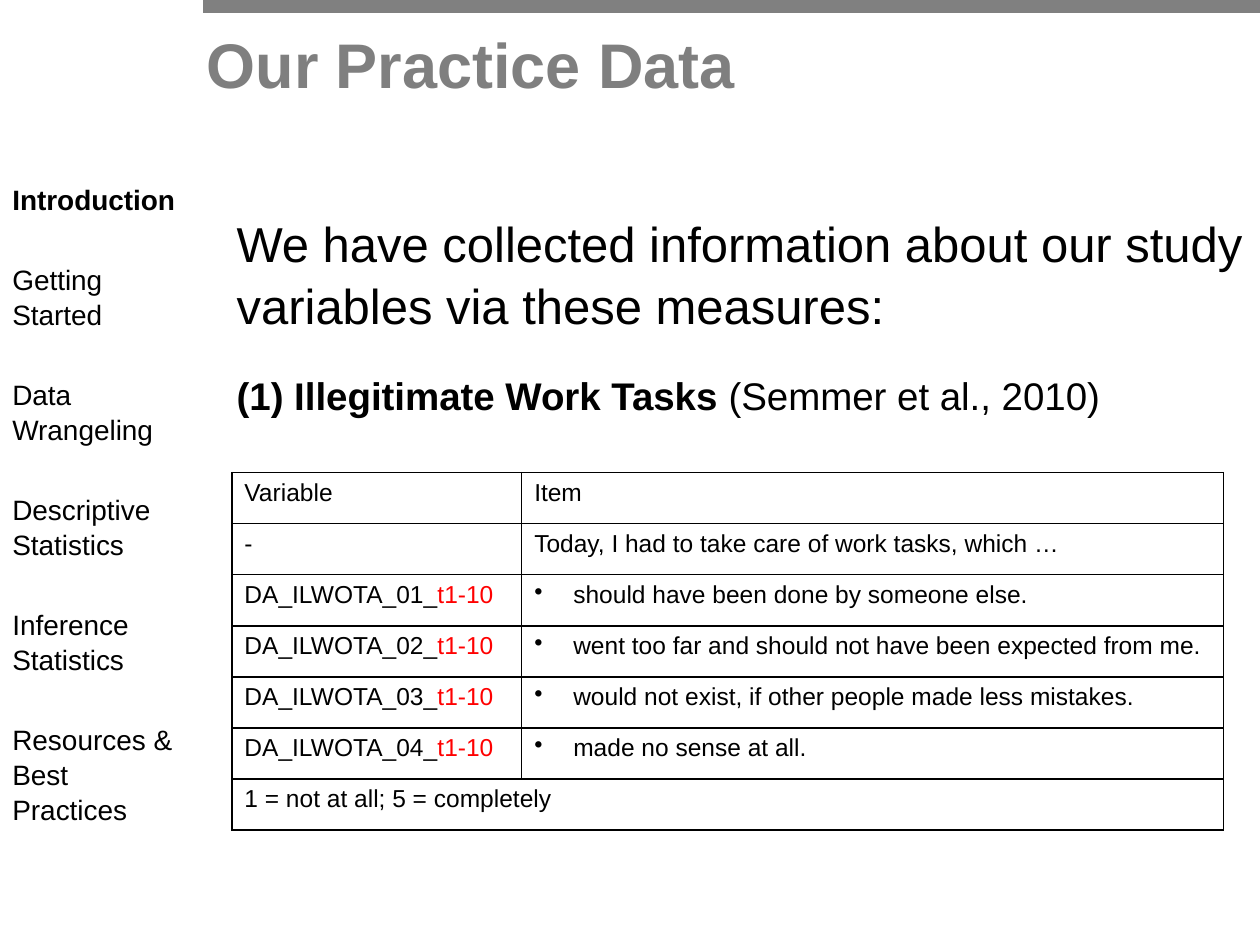
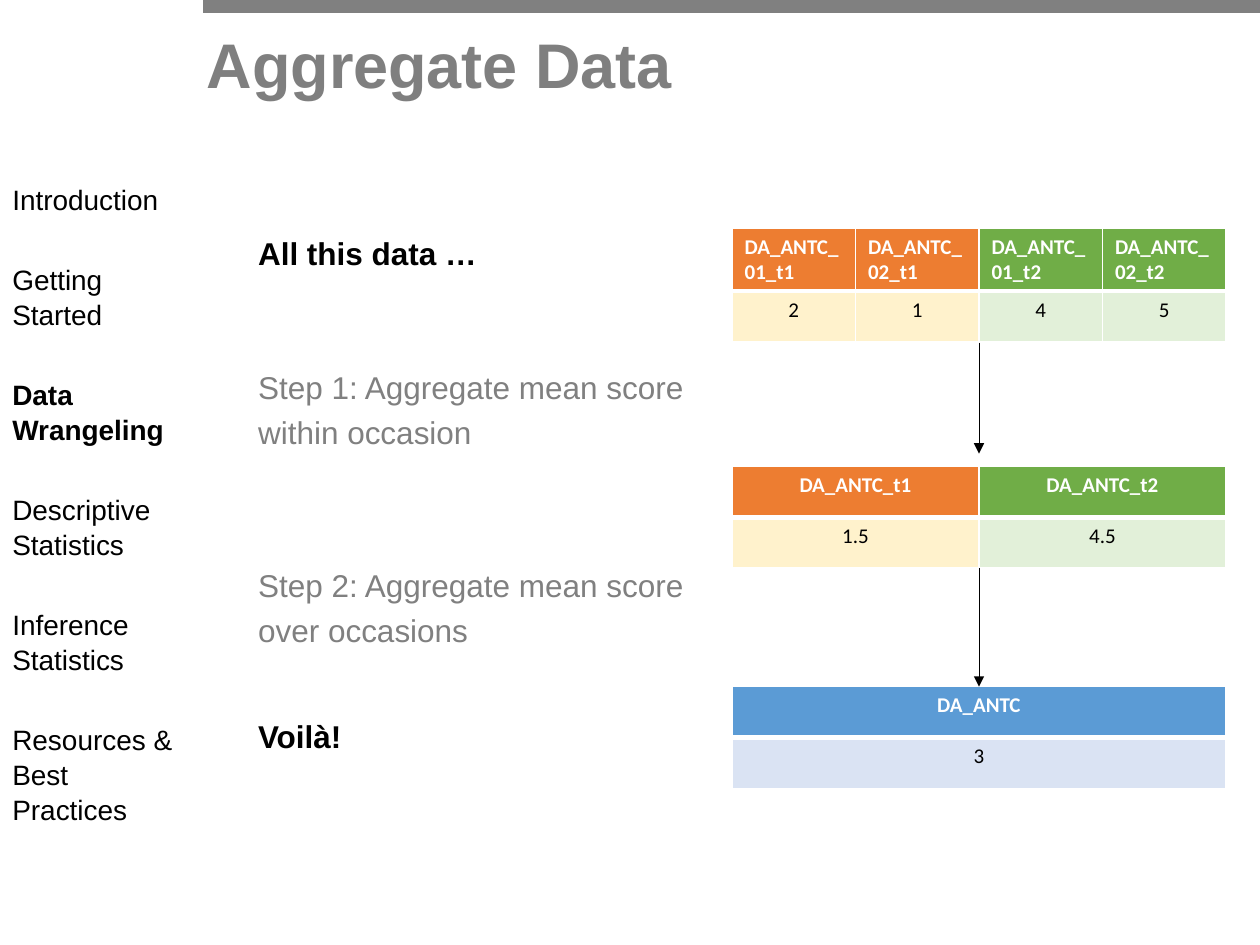
from dataclasses import dataclass
from typing import Optional

from lxml import etree
from pptx import Presentation
from pptx import util as u
from pptx.dml.color import RGBColor
from pptx.enum import shapes, text
from pptx.oxml.ns import qn


@dataclass(frozen=True)
class Theme:
    black: str = "000000"
    white: str = "FFFFFF"
    band: str = "808080"
    title: str = "7F7F7F"
    red: str = "FF0000"
    orange: str = "ED7D31"
    light_orange: str = "FFF2CC"
    green: str = "70AD47"
    light_green: str = "E2F0D9"
    blue: str = "5B9BD5"
    light_blue: str = "DAE3F3"
    font: str = "Arial"
    data_font: str = "Calibri"
    title_size: float = 36
    lead_size: float = 28
    measure_size: float = 22
    step_size: float = 18
    section_size: float = 16
    item_size: float = 14
    data_size: float = 12
    line_spacing: float = 1.04
    thin: float = 0.96
    thick: float = 3


THEME = Theme()
SECTIONS = (
    "Introduction",
    "Getting Started",
    "Data Wrangeling",
    "Descriptive Statistics",
    "Inference Statistics",
    "Resources & Best Practices",
)
SIDES = ("L", "R", "T", "B")


@dataclass(frozen=True)
class Span:
    text: str
    size: float
    color: str = THEME.black
    bold: bool = False
    font: str = THEME.font


@dataclass(frozen=True)
class Line:
    spans: tuple[Span, ...]
    space_before: float = 0
    centered: bool = False
    bullet: bool = False
    spacing: Optional[float] = THEME.line_spacing


@dataclass(frozen=True)
class Box:
    left: float
    top: float
    width: float
    height: float

    def lengths(self) -> tuple:
        return tuple(u.Inches(v) for v in (self.left, self.top, self.width, self.height))


@dataclass(frozen=True)
class Column:
    header: str
    value: str
    dark: str
    light: str


@dataclass(frozen=True)
class ScoreTable:
    top: float
    columns: tuple[Column, ...]
    header_centered: bool = True


def add_bullet(paragraph) -> None:
    properties = paragraph._p.get_or_add_pPr()
    properties.set("marL", str(u.Inches(0.31)))
    properties.set("indent", str(u.Inches(-0.31)))
    etree.SubElement(properties, qn("a:buChar"), char="•")


def write_lines(text_frame, lines: tuple[Line, ...]) -> None:
    for index, line in enumerate(lines):
        paragraph = text_frame.add_paragraph() if index else text_frame.paragraphs[0]
        if line.bullet:
            add_bullet(paragraph)
        paragraph.alignment = text.PP_ALIGN.CENTER if line.centered else text.PP_ALIGN.LEFT
        paragraph.line_spacing = line.spacing
        paragraph.space_before = u.Pt(line.space_before)
        for span in line.spans:
            run = paragraph.add_run()
            run.text = span.text
            run.font.name = span.font
            run.font.size = u.Pt(span.size)
            run.font.bold = span.bold
            run.font.color.rgb = RGBColor.from_string(span.color)


def add_text(slide, box: Box, lines: tuple[Line, ...]) -> None:
    text_frame = slide.shapes.add_textbox(*box.lengths()).text_frame
    text_frame.word_wrap = True
    write_lines(text_frame, lines)


def add_line(slide, start: tuple[float, float], end: tuple[float, float],
             color: str, width: float, arrow: bool = False) -> None:
    points = (u.Inches(v) for v in (*start, *end))
    connector = slide.shapes.add_connector(shapes.MSO_CONNECTOR.STRAIGHT, *points)
    connector.line.color.rgb = RGBColor.from_string(color)
    connector.line.width = u.Pt(width)
    if arrow:
        etree.SubElement(connector.line._get_or_add_ln(), qn("a:tailEnd"), type="triangle")
    etree.SubElement(connector._element.spPr, qn("a:effectLst"))


def set_border(cell, side: str, color: str, width: float) -> None:
    line = etree.Element(qn(f"a:ln{side}"), w=str(u.Pt(width)))
    fill = etree.SubElement(line, qn("a:solidFill"))
    etree.SubElement(fill, qn("a:srgbClr"), val=color)
    cell._tc.get_or_add_tcPr().insert(SIDES.index(side), line)


def style_cell(cell, border: str, fill: Optional[str] = None, thick_side: str = "") -> None:
    if fill:
        cell.fill.solid()
        cell.fill.fore_color.rgb = RGBColor.from_string(fill)
    else:
        cell.fill.background()
    for side in SIDES:
        set_border(cell, side, border, THEME.thick if side == thick_side else THEME.thin)


def add_plain_table(slide, box: Box, rows: int, widths: tuple[float, ...]):
    table = slide.shapes.add_table(rows, len(widths), *box.lengths()).table
    table.first_row = False
    table.horz_banding = False
    for column, width in zip(table.columns, widths):
        column.width = u.Inches(width)
    return table


def start_slide(presentation, title: str, active_section: str):
    slide = presentation.slides.add_slide(presentation.slide_layouts[5])
    add_line(slide, (1.61, 0.05), (10, 0.05), THEME.band, 8)
    heading = slide.shapes.title
    heading.left, heading.top, heading.width, heading.height = Box(1.54, 0.13, 8.46, 1.02).lengths()
    heading.text_frame.vertical_anchor = text.MSO_ANCHOR.TOP
    write_lines(heading.text_frame,
                (Line((Span(title, THEME.title_size, THEME.title, True),)),))
    add_text(slide, Box(0, 1.39, 1.53, 5.59), tuple(
        Line((Span(section, THEME.section_size, bold=section == active_section),),
             25.8 if index else 0)
        for index, section in enumerate(SECTIONS)))
    return slide


def add_item_table(slide) -> None:
    items = (
        "should have been done by someone else.",
        "went too far and should not have been expected from me.",
        "would not exist, if other people made less mistakes.",
        "made no sense at all.",
    )
    size = THEME.item_size

    def plain(value: str, bullet: bool = False) -> Line:
        return Line((Span(value, size),), bullet=bullet, spacing=None)

    rows = [(plain("Variable"), plain("Item")),
            (plain("-"), plain("Today, I had to take care of work tasks, which …"))]
    for number, item in enumerate(items, 1):
        variable = Line((Span(f"DA_ILWOTA_{number:02}_", size),
                         Span("t1-10", size, THEME.red)), spacing=None)
        rows.append((variable, plain(item, True)))
    rows.append((plain("1 = not at all; 5 = completely"),))

    table = add_plain_table(slide, Box(1.84, 3.75, 7.87, 2.84), len(rows), (2.3, 5.57))
    for row_index, row in enumerate(rows):
        for column_index, line in enumerate(row):
            write_lines(table.cell(row_index, column_index).text_frame, (line,))
    for cell in table.iter_cells():
        style_cell(cell, THEME.black)
    last = len(rows) - 1
    table.cell(last, 0).merge(table.cell(last, 1))


def add_score_table(slide, scores: ScoreTable) -> None:
    width, count = 3.92, len(scores.columns)
    table = add_plain_table(slide, Box(5.81, scores.top, width, 0.81), 2, (width / count,) * count)
    for index, column in enumerate(scores.columns):
        header, value = table.cell(0, index), table.cell(1, index)
        style_cell(header, THEME.white, column.dark, "B")
        style_cell(value, THEME.white, column.light, "T")
        write_lines(header.text_frame, (Line(
            (Span(column.header, THEME.data_size, THEME.white, True, THEME.data_font),),
            centered=scores.header_centered, spacing=None),))
        write_lines(value.text_frame, (Line(
            (Span(column.value, THEME.data_size, font=THEME.data_font),),
            centered=True, spacing=None),))


def build_practice_data(presentation) -> None:
    slide = start_slide(presentation, "Our Practice Data", "Introduction")
    lead = "We have collected information about our study variables via these measures:"
    add_text(slide, Box(1.78, 1.63, 8.22, 1.9), (
        Line((Span(lead, THEME.lead_size),)),
        Line((Span("(1) Illegitimate Work Tasks ", THEME.measure_size, bold=True),
              Span("(Semmer et al., 2010)", THEME.measure_size)), 21),
    ))
    add_item_table(slide)


def build_aggregate_data(presentation) -> None:
    slide = start_slide(presentation, "Aggregate Data", "Data Wrangeling")
    first = (THEME.orange, THEME.light_orange)
    second = (THEME.green, THEME.light_green)
    overall = (THEME.blue, THEME.light_blue)
    for scores in (
        ScoreTable(1.81, (Column("DA_ANTC_01_t1", "2", *first),
                          Column("DA_ANTC_02_t1", "1", *first),
                          Column("DA_ANTC_01_t2", "4", *second),
                          Column("DA_ANTC_02_t2", "5", *second)), False),
        ScoreTable(3.7, (Column("DA_ANTC_t1", "1.5", *first),
                         Column("DA_ANTC_t2", "4.5", *second))),
        ScoreTable(5.45, (Column("DA_ANTC", "3", *overall),)),
    ):
        add_score_table(slide, scores)
    for top, bottom in ((2.72, 3.6), (4.51, 5.45)):
        add_line(slide, (7.77, top), (7.77, bottom), THEME.black, 0.5, True)

    steps = (
        ("All this data …", True, 0),
        ("Step 1: Aggregate mean score", False, 53.8),
        ("within occasion", False, 3.6),
        ("Step 2: Aggregate mean score", False, 64.5),
        ("over occasions", False, 3.6),
        ("Voilà!", True, 38.2),
    )
    add_text(slide, Box(1.95, 1.8, 3.8, 4.3), tuple(
        Line((Span(step, THEME.step_size, THEME.black if strong else THEME.band, strong),), gap)
        for step, strong, gap in steps))


def main() -> None:
    presentation = Presentation()
    presentation.slide_width = u.Inches(10)
    presentation.slide_height = u.Inches(7.5)
    build_practice_data(presentation)
    build_aggregate_data(presentation)
    presentation.save("out.pptx")


if __name__ == "__main__":
    main()
